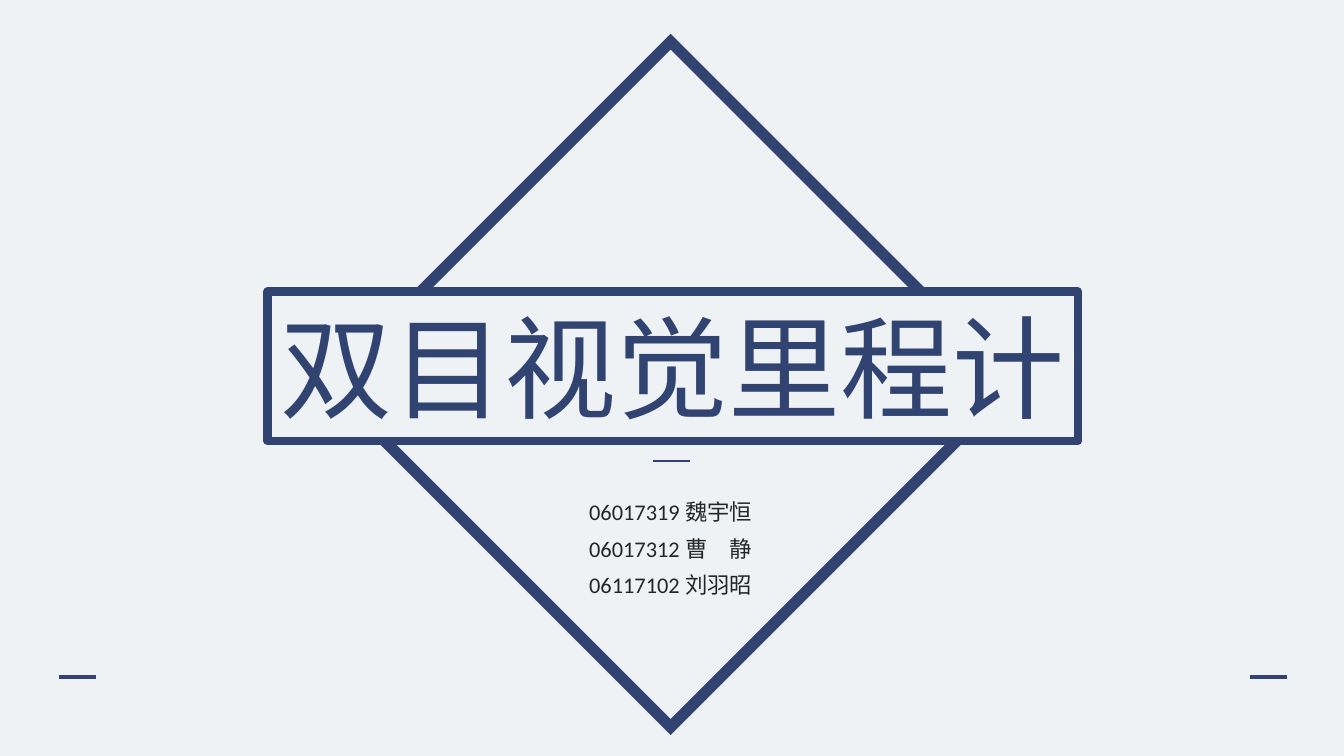
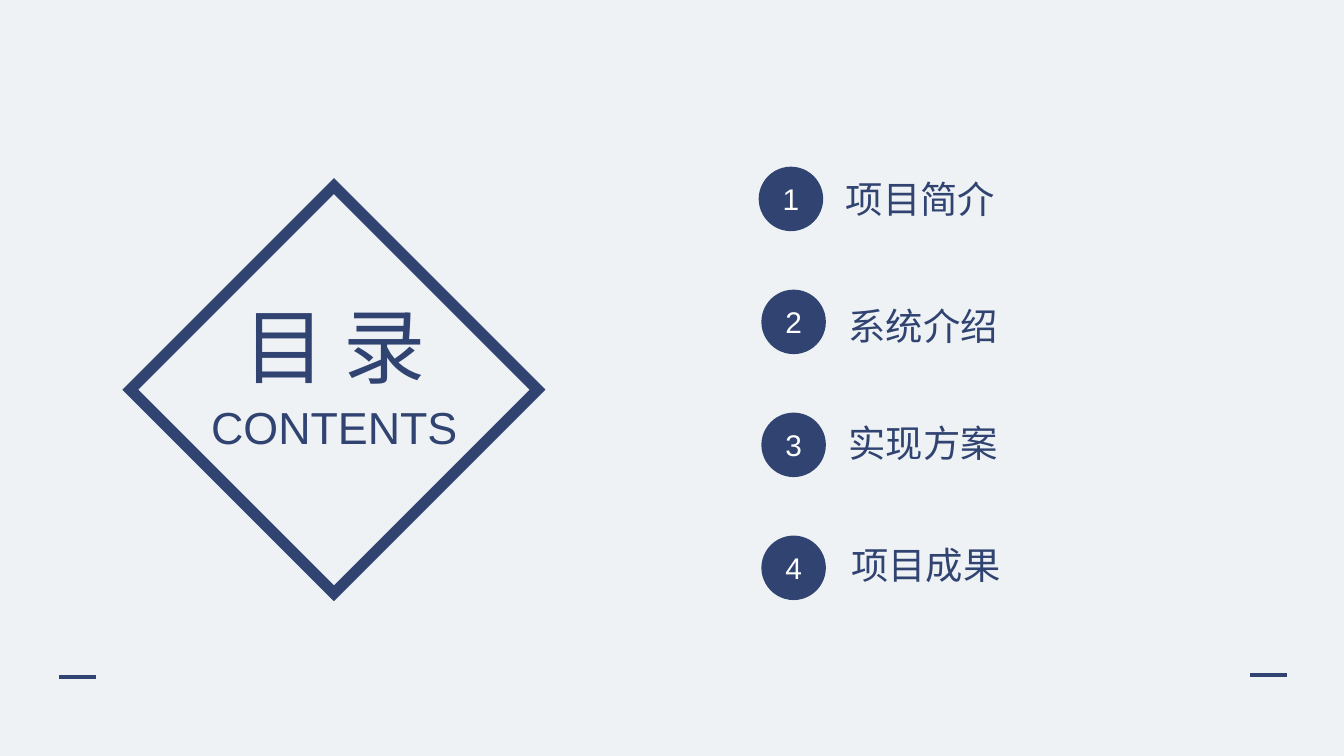
import dataclasses

import pptx
import pptx.dml.color
import pptx.enum.shapes
import pptx.enum.text
import pptx.oxml.ns
import pptx.util
from lxml import etree

SCALE = 4572  # EMU per px, 200 px to the inch
KIND = pptx.enum.shapes.MSO_SHAPE
ALIGN = pptx.enum.text.PP_ALIGN
ANCHOR = pptx.enum.text.MSO_ANCHOR
FIT = pptx.enum.text.MSO_AUTO_SIZE


@dataclasses.dataclass(frozen=True)
class Theme:
    navy: str = "304371"
    pale: str = "EEF2F5"
    dark: str = "262626"
    white: str = "FFFFFF"
    han: str = "Noto Sans CJK SC"
    sans: str = "Arial"
    body: str = "Calibri"
    hero: int = 60
    head: int = 44
    sub: int = 24
    item: int = 20
    mark: int = 16
    small: int = 12


THEME = Theme()


# Helpers
def px(*nums):
    return [pptx.util.Emu(num * SCALE) for num in nums]


def tint(code):
    return pptx.dml.color.RGBColor.from_string(code)


def paint(fill, code):
    fill.solid()
    fill.fore_color.rgb = tint(code)


def add_tag(node, name):
    return etree.SubElement(node, pptx.oxml.ns.qn(name))


def stroke(shape, width, join=None):
    paint(shape.line.fill, THEME.navy)
    shape.line.width = pptx.util.Pt(width)
    if join:
        add_tag(shape.line._get_or_add_ln(), join)


def place(shape, box):
    shape.left, shape.top, shape.width, shape.height = px(*box)


# Text
def text(shape, words, size, font=THEME.han, color=THEME.navy,
         align=ALIGN.CENTER, anchor=ANCHOR.TOP, wrap=False,
         fit=FIT.SHAPE_TO_FIT_TEXT, lead=None):
    frame = shape.text_frame
    frame.word_wrap = wrap
    frame.auto_size = fit
    frame.vertical_anchor = anchor
    para = frame.paragraphs[0]
    para.alignment = align
    if lead:
        para.line_spacing = lead
    run = para.add_run()
    run.text = words
    run.font.size = pptx.util.Pt(size)
    run.font.name = font
    run.font.color.rgb = tint(color)
    add_tag(run.font._element, "a:ea").set("typeface", font)


def label(shapes, box, words, size, **form):
    text(shapes.add_textbox(*px(*box)), words, size, **form)


def title(slide, box, words, size):
    shape = slide.shapes.title
    place(shape, box)
    text(shape, words, size)
    # Keep the whole width for one line
    shape.text_frame.margin_left = shape.text_frame.margin_right = 0
    return shape


# Shapes
def diamond(slide, left, top, side):
    shape = slide.shapes.add_shape(KIND.DIAMOND, *px(left, top, side, side))
    shape.shadow.inherit = False
    shape.fill.background()
    stroke(shape, 6, "a:miter")
    return shape


def dash(slide, left, top, width=2.25):
    ends = px(left, top, left + 55, top)
    line = slide.shapes.add_connector(
        pptx.enum.shapes.MSO_CONNECTOR.STRAIGHT, *ends)
    stroke(line, width)
    add_tag(line._element.spPr, "a:effectLst")


def feet(slide, right):
    dash(slide, 88, 1008)
    dash(slide, 1860, right)


def dot(slide, left, top, words):
    shape = slide.shapes.add_shape(KIND.OVAL, *px(left, top, 96, 96))
    shape.shadow.inherit = False
    paint(shape.fill, THEME.navy)
    shape.line.fill.background()
    text(shape, words, THEME.mark, font=THEME.sans, color=THEME.white,
         anchor=ANCHOR.MIDDLE, wrap=True, fit=FIT.NONE)


# Slides
def cover(slide):
    back = diamond(slide, 488, 62, 1020)
    band = title(slide, (398, 434, 1206, 222), "双目视觉里程计", THEME.hero)
    paint(band.fill, THEME.pale)
    stroke(band, 4.5, "a:round")
    band._element.addprevious(back._element)  # band covers the diamond
    dash(slide, 972, 686, 1.5)
    feet(slide, 1008)
    team = slide.shapes.add_group_shape()
    names = ("06017319 魏宇恒", "06017312 曹　静", "06117102 刘羽昭")
    for row, name in enumerate(names):
        label(team.shapes, (647, 712 + 54 * row, 702, 80), name, THEME.small,
              font=THEME.body, color=THEME.dark, wrap=True, lead=1.5)


def agenda(slide):
    feet(slide, 1004)
    diamond(slide, 194, 277, 606)
    title(slide, (336, 430, 324, 168), "目 录", THEME.head)
    label(slide.shapes, (292, 585, 411, 100), "CONTENTS", THEME.sub,
          font=THEME.sans)
    # words, dot left, words left, words top
    items = (("项目简介", 1129, 1239, 252), ("系统介绍", 1133, 1243, 442),
             ("实现方案", 1133, 1243, 616), ("项目成果", 1133, 1247, 797))
    for row, (words, side, left, top) in enumerate(items):
        dot(slide, side, 248 + 183 * row, str(row + 1))
        label(slide.shapes, (left, top, 262, 88), words, THEME.item,
              align=ALIGN.LEFT)


def main():
    deck = pptx.Presentation()
    deck.slide_width, deck.slide_height = px(2000, 1125)
    paint(deck.slide_master.background.fill, THEME.pale)
    for build in (cover, agenda):
        build(deck.slides.add_slide(deck.slide_layouts[5]))
    deck.save("out.pptx")


if __name__ == "__main__":
    main()
